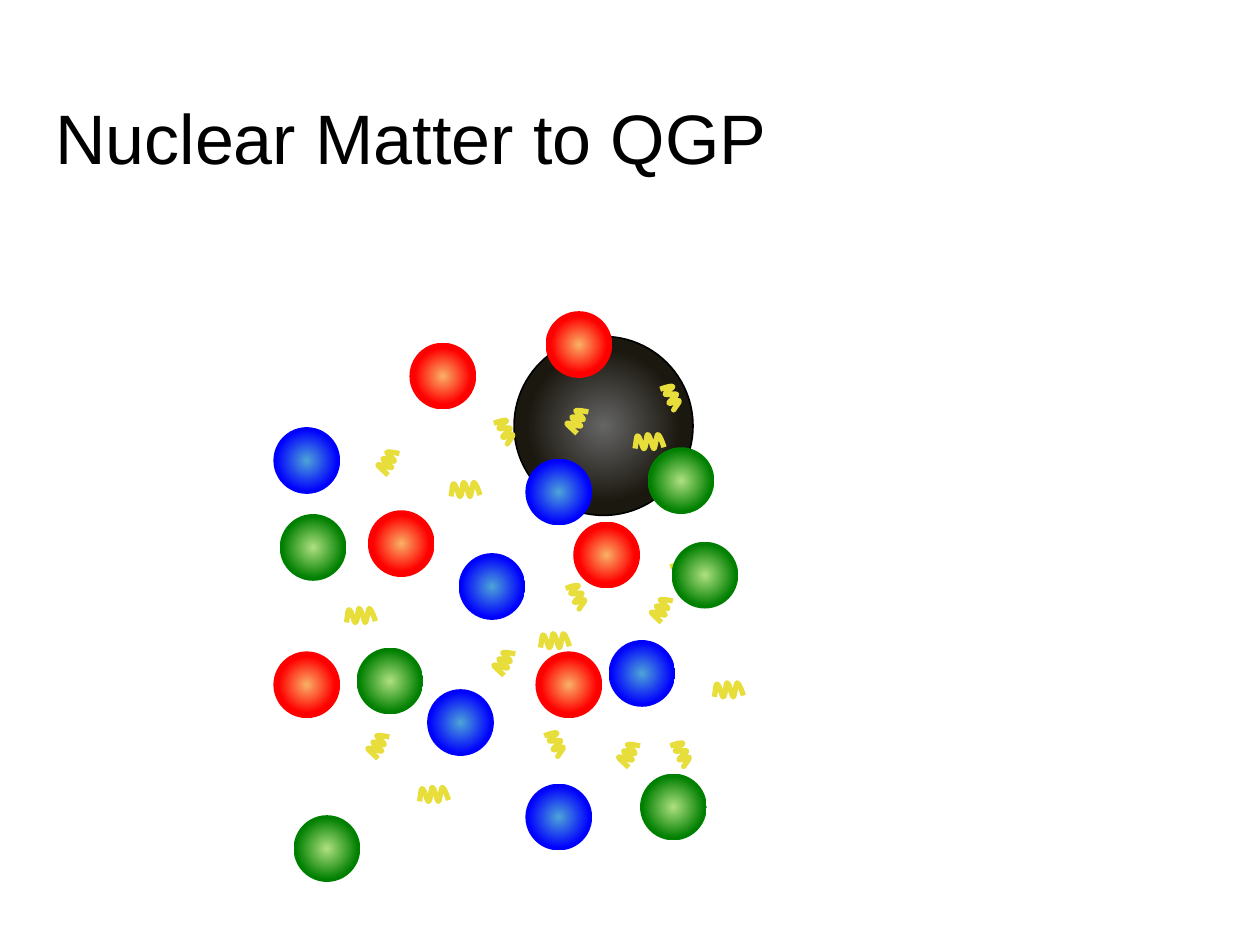
from lxml.etree import SubElement
from pptx import Presentation
from pptx.dml.color import RGBColor
from pptx.enum.shapes import MSO_SHAPE
from pptx.enum.text import MSO_ANCHOR
from pptx.oxml.ns import qn
from pptx.util import Inches, Pt

BLACK = RGBColor(0x00, 0x00, 0x00)
GLUON_YELLOW = RGBColor(0xE7, 0xDD, 0x3B)
HADRON = (RGBColor(0x65, 0x65, 0x65), RGBColor(0x1B, 0x18, 0x10), 0.61)
RED = (RGBColor(0xF9, 0xB2, 0x68), RGBColor(0xFF, 0x00, 0x00), 0.6)
GREEN = (RGBColor(0xB0, 0xE1, 0x83), RGBColor(0x00, 0x80, 0x00), 0.66)
BLUE = (RGBColor(0x4E, 0xA5, 0xD8), RGBColor(0x00, 0x00, 0xFF), 0.66)

QUARK_SIZE = 0.53
HADRON_SIZE = 1.42
TITLE_FONT = {"name": "Arial", "size": Pt(40)}
TITLE_FRAME = {"word_wrap": True, "vertical_anchor": MSO_ANCHOR.MIDDLE}

LEVEL = [
    (0, 11), (1, 6), (1, 1), (2, 1), (4, 1), (6, 11), (7, 11), (9, 11), (9, 0), (10, 0),
    (12, 0), (14, 11), (15, 11), (16, 11), (17, 1), (18, 0), (20, 0), (23, 10), (23, 10),
]
FALLING = [
    (0, 3), (5, 1), (10, 0), (10, 1), (11, 1), (3, 6), (4, 7), (4, 8), (13, 6), (13, 7),
    (14, 8), (6, 13), (7, 14), (7, 15), (14, 12), (15, 12), (16, 13), (11, 18), (11, 19),
    (10, 20), (11, 19), (11, 19),
]
RISING = [
    (8, 19), (4, 15), (0, 12), (0, 11), (1, 10), (10, 14), (11, 13), (11, 12), (3, 7), (4, 6),
    (4, 5), (13, 9), (13, 8), (14, 7), (7, 2), (7, 1), (8, 0), (17, 2), (17, 2),
]

HADRON_QUARKS = [(BLUE, 4.17, 3.64), (GREEN, 5.14, 3.55), (RED, 4.33, 2.47), (GREEN, 5.08, 6.14)]
FREE_QUARKS = [
    (RED, 3.25, 2.72), (GREEN, 2.22, 4.08), (BLUE, 2.17, 3.39), (RED, 2.92, 4.05),
    (RED, 4.55, 4.14), (GREEN, 2.33, 6.47), (BLUE, 4.83, 5.08), (BLUE, 4.17, 6.22),
    (GREEN, 2.83, 5.14), (RED, 2.17, 5.17), (RED, 4.25, 5.17), (GREEN, 5.33, 4.3),
    (BLUE, 3.39, 5.47), (BLUE, 3.64, 4.39),
]
BACK_GLUONS = [
    (LEVEL, 3.58, 3.83), (FALLING, 3.92, 3.33), (RISING, 3, 3.58),
    (LEVEL, 4.29, 5.03), (FALLING, 4.49, 4.64), (RISING, 3.92, 5.17),
    (LEVEL, 3.33, 6.25), (FALLING, 4.32, 5.81), (RISING, 2.92, 5.83),
    (LEVEL, 5.04, 3.45), (FALLING, 5.24, 3.06), (FALLING, 5.32, 4.47),
    (RISING, 5.17, 4.75), (LEVEL, 5.67, 5.42), (FALLING, 5.32, 5.89), (RISING, 4.91, 5.9),
]
FRONT_GLUONS = [(LEVEL, 2.75, 4.83), (RISING, 4.5, 3.25)]


def set_format(target, values):
    for name, value in values.items():
        setattr(target, name, value)


def add_ball(page, colours, left, top, size=QUARK_SIZE):
    ball = page.shapes.add_shape(
        MSO_SHAPE.OVAL, Inches(left), Inches(top), Inches(size), Inches(size)
    )
    ball.shadow.inherit = False
    ball.line.fill.background()
    centre, edge, reach = colours
    ball.fill.gradient()
    for stop, colour, position in zip(ball.fill.gradient_stops, (centre, edge), (0, reach)):
        stop.color.rgb = colour
        stop.position = position
    gradient = ball._element.spPr.find(qn("a:gradFill"))
    gradient.remove(gradient.find(qn("a:lin")))
    radial = SubElement(gradient, qn("a:path"), {"path": "circle"})
    SubElement(radial, qn("a:fillToRect"), dict.fromkeys("ltrb", "50000"))
    return ball


def bend_segments(shape):
    outline = next(shape._element.iter(qn("a:path")))
    segments = outline.findall(qn("a:lnTo"))
    for start in range(0, len(segments), 3):
        curve = SubElement(outline, qn("a:cubicBezTo"))
        for segment in segments[start:start + 3]:
            curve.append(segment[0])
            outline.remove(segment)


def add_gluon(page, wave, left, top):
    points = [(100 * left + x, 100 * top + y) for x, y in wave]
    builder = page.shapes.build_freeform(*points[0], scale=Inches(0.01))
    builder.add_line_segments(points[1:], close=False)
    gluon = builder.convert_to_shape()
    bend_segments(gluon)
    gluon.shadow.inherit = False
    gluon.fill.background()
    gluon.line.color.rgb = GLUON_YELLOW
    gluon.line.width = Pt(3)


def add_title(page, text):
    box = page.shapes.add_textbox(Inches(0.34), Inches(0.58), Inches(6), Inches(1))
    set_format(box.text_frame, TITLE_FRAME)
    span = box.text_frame.paragraphs[0].add_run()
    span.text = text
    set_format(span.font, TITLE_FONT)
    span.font.color.rgb = BLACK


def main():
    deck = Presentation()
    set_format(deck, {"slide_width": Inches(10), "slide_height": Inches(7.5)})
    page = deck.slides.add_slide(deck.slide_layouts[6])

    hadron = add_ball(page, HADRON, 4.08, 2.67, HADRON_SIZE)
    hadron.line.color.rgb = BLACK
    hadron.line.width = Pt(0.94)
    for quark in HADRON_QUARKS:
        add_ball(page, *quark)
    add_title(page, "Nuclear Matter to QGP")
    for gluon in BACK_GLUONS:
        add_gluon(page, *gluon)
    for quark in FREE_QUARKS:
        add_ball(page, *quark)
    for gluon in FRONT_GLUONS:
        add_gluon(page, *gluon)
    deck.save("out.pptx")


if __name__ == "__main__":
    main()
